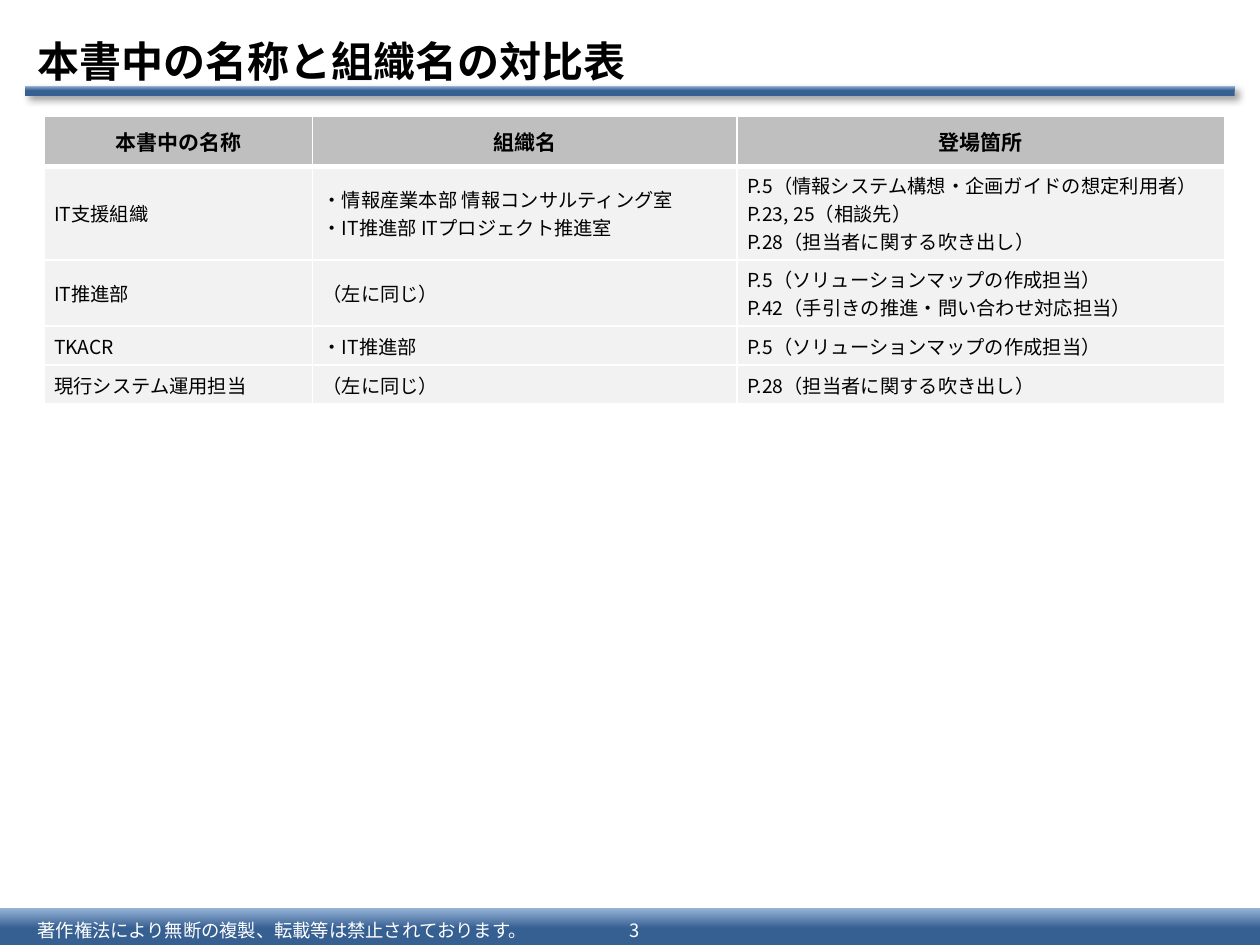
from copy import deepcopy
from lxml.etree import SubElement as Sub
from pptx import Presentation as Deck
from pptx.dml.color import RGBColor as RGB
from pptx.enum.shapes import MSO_SHAPE as Shape
from pptx.enum.text import MSO_ANCHOR as Anchor, MSO_AUTO_SIZE as Fit, PP_ALIGN as Align
from pptx.oxml.ns import qn
from pptx.util import Inches as In, Pt

WIDE, HIGH = 10, 7.5
EDGE = 0.02 * WIDE
FACE = "Noto Sans CJK JP"
HUES = {"deep": "376092", "pale": "95B3D7", "head": "BFBFBF",
        "row": "F2F2F2", "ink": "000000", "white": "FFFFFF"}
TITLE = {"size": Pt(24), "bold": True}
HEAD = {"size": Pt(12), "bold": True}
BODY = {"size": Pt(11), "bold": False}
FOOT = {"size": Pt(10.5), "bold": False}
COLS = [2.13, 3.37, 3.87]
ROWS = [0.4] + [0.31] * 4
CELLS = [
    ["本書中の名称", "組織名", "登場箇所"],
    ["IT支援組織",
     "・情報産業本部 情報コンサルティング室\n・IT推進部 ITプロジェクト推進室",
     "P.5（情報システム構想・企画ガイドの想定利用者）\nP.23, 25（相談先）\n"
     "P.28（担当者に関する吹き出し）"],
    ["IT推進部", "（左に同じ）",
     "P.5（ソリューションマップの作成担当）\nP.42（手引きの推進・問い合わせ対応担当）"],
    ["TKACR", "・IT推進部", "P.5（ソリューションマップの作成担当）"],
    ["現行システム運用担当", "（左に同じ）", "P.28（担当者に関する吹き出し）"],
]


def hue(name):
    return RGB.from_string(HUES[name])


def write(frame, text, look, ink="ink", align=Align.LEFT):
    frame.text = text
    for para in frame.paragraphs:
        para.alignment = align
        for run in para.runs:
            for key, val in {**look, "name": FACE}.items():
                setattr(run.font, key, val)
            run.font.color.rgb = hue(ink)
            Sub(run.font._element, qn("a:ea"), typeface=FACE)


def set_frame(frame, wrap=True):
    form = {"word_wrap": wrap, "auto_size": Fit.NONE, "vertical_anchor": Anchor.MIDDLE,
            "margin_left": In(0.1), "margin_right": In(0.1),
            "margin_top": In(0.04), "margin_bottom": In(0.04)}
    for key, val in form.items():
        setattr(frame, key, val)


def add_bar(slide, left, top, wide, high):
    bar = slide.shapes.add_shape(Shape.RECTANGLE, In(left), In(top), In(wide), In(high))
    bar.shadow.inherit = False
    bar.line.fill.background()
    bar.fill.gradient()
    bar.fill.gradient_angle = 90
    stops = bar.fill.gradient_stops
    for stop, place, name in zip(stops, (0, 1), ("deep", "pale")):
        stop.position = place
        stop.color.rgb = hue(name)
    first = bar._element.spPr.find(".//" + qn("a:gs"))
    mid = deepcopy(first)
    mid.set("pos", "50000")
    first.addnext(mid)
    return bar


def add_shade(bar):
    fx = bar._element.spPr.find(qn("a:effectLst"))
    shade = Sub(fx, qn("a:outerShdw"), blurRad=str(Pt(4)), dist=str(Pt(3)),
                dir=str(45 * 60000), algn="tl", rotWithShape="0")
    tint = Sub(shade, qn("a:srgbClr"), val=HUES["ink"])
    Sub(tint, qn("a:alpha"), val="40000")


def add_note(slide, left, wide, text, align):
    box = slide.shapes.add_textbox(In(left), In(7.25), In(wide), In(0.26))
    set_frame(box.text_frame)
    write(box.text_frame, text, FOOT, "white", align)


def add_title(slide, text):
    head = slide.shapes.title
    spot = {"left": EDGE, "top": 0.21, "width": WIDE - EDGE, "height": 0.54}
    for key, val in spot.items():
        setattr(head, key, In(val))
    set_frame(head.text_frame)
    write(head.text_frame, text, TITLE)


def add_edges(cell, base):
    props = cell._tc.get_or_add_tcPr()
    for spot, (side, size) in enumerate(zip("LRTB", (1, 1, 1, base))):
        line = props.makeelement(qn("a:ln" + side), {"w": str(Pt(size))})
        fill = Sub(line, qn("a:solidFill"))
        Sub(fill, qn("a:srgbClr"), val=HUES["white"])
        props.insert(spot, line)


def add_grid(slide):
    grid = slide.shapes.add_table(len(ROWS), len(COLS), In(0.35), In(0.92),
                                  In(sum(COLS)), In(sum(ROWS))).table
    for col, wide in zip(grid.columns, COLS):
        col.width = In(wide)
    for r, (row, high, texts) in enumerate(zip(grid.rows, ROWS, CELLS)):
        row.height = In(high)
        top = r == 0
        for cell, text in zip(row.cells, texts):
            form = {"vertical_anchor": Anchor.MIDDLE,
                    "margin_left": In(0.08), "margin_right": In(0.08),
                    "margin_top": In(0.04), "margin_bottom": In(0.04)}
            for key, val in form.items():
                setattr(cell, key, val)
            cell.fill.solid()
            cell.fill.fore_color.rgb = hue("head" if top else "row")
            write(cell.text_frame, text, HEAD if top else BODY,
                  align=Align.CENTER if top else Align.LEFT)
            add_edges(cell, 3 if top else 1)


def main():
    deck = Deck()
    deck.slide_width, deck.slide_height = In(WIDE), In(HIGH)
    slide = deck.slides.add_slide(deck.slide_layouts[5])
    add_bar(slide, 0, 7.21, WIDE, 0.31)
    add_shade(add_bar(slide, EDGE, 0.68, WIDE - 2 * EDGE, 0.08))
    add_note(slide, EDGE, 4.25, "著作権法により無断の複製、転載等は禁止されております。", Align.LEFT)
    add_note(slide, 4.76, 0.55, "3", Align.CENTER)
    add_title(slide, "本書中の名称と組織名の対比表")
    add_grid(slide)
    deck.save("out.pptx")


if __name__ == "__main__":
    main()
